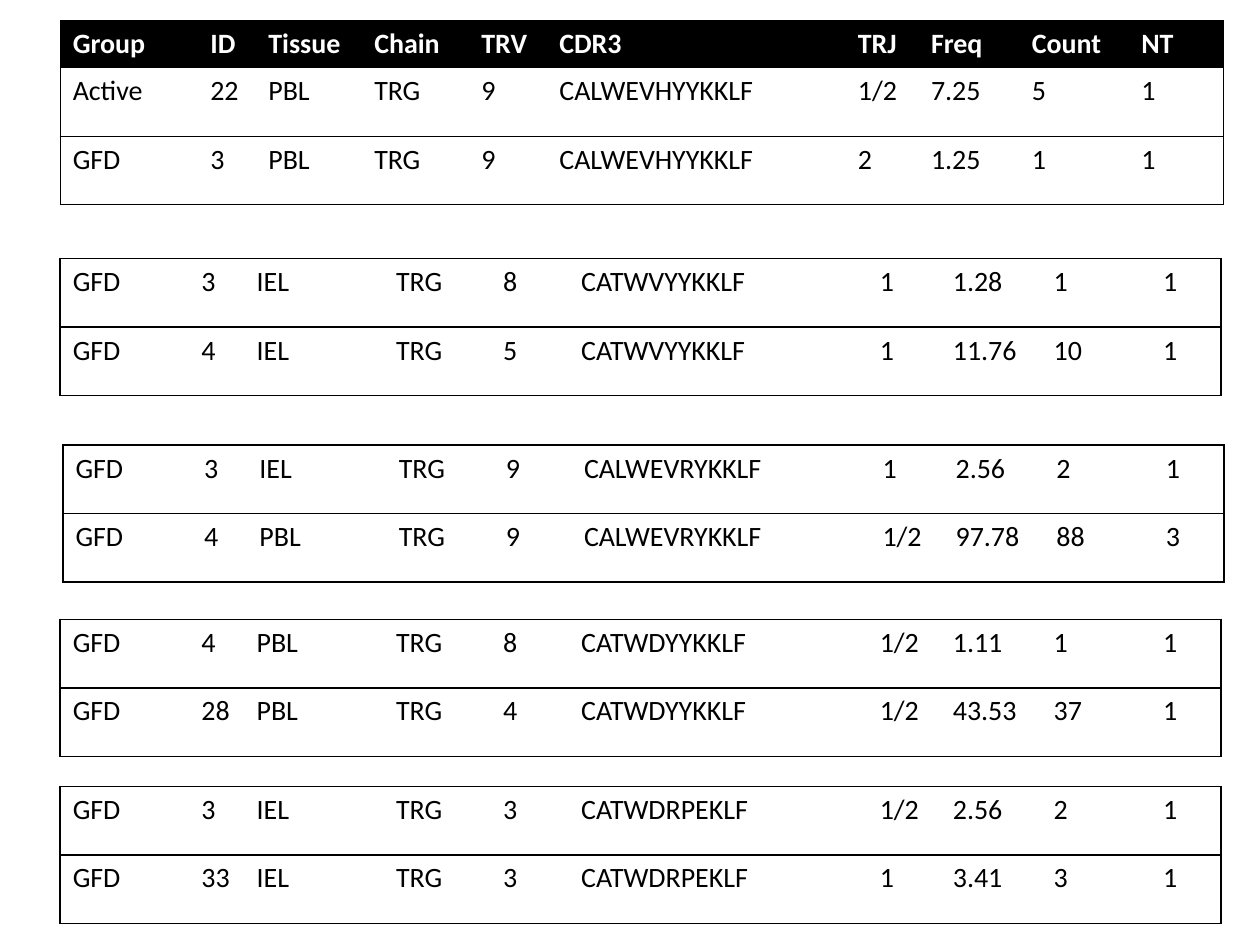
import pptx
import pptx.dml.color
import pptx.oxml.ns
import pptx.util
import lxml.etree

Pt = pptx.util.Pt
BLACK, WHITE = "000000", "FFFFFF"
HEADER_HEIGHT, ROW_HEIGHT = 26.2, 39.1

HEADINGS = ["Group", "ID", "Tissue", "Chain", "TRV", "CDR3", "TRJ", "Freq", "Count", "NT"]
SHARED_WIDTHS = [61.2, 44.6, 170.6, 41.8, 57.6, 62.6]  # Chain to Count
TOP_WIDTHS = [78.6, 33.2, 60.5, *SHARED_WIDTHS, 54]
PAIR_WIDTHS = [73.5, 31.6, 79.7, *SHARED_WIDTHS, 40.3]

# Each group: left, top, column widths, border weight, has header, rows
GROUPS = [
    (34.4, 12, TOP_WIDTHS, 0.75, True, [
        ["Active", "22", "PBL", "TRG", "9", "CALWEVHYYKKLF", "1/2", "7.25", "5", "1"],
        ["GFD", "3", "PBL", "TRG", "9", "CALWEVHYYKKLF", "2", "1.25", "1", "1"],
    ]),
    (34.4, 147.8, PAIR_WIDTHS, 1, False, [
        ["GFD", "3", "IEL", "TRG", "8", "CATWVYYKKLF", "1", "1.28", "1", "1"],
        ["GFD", "4", "IEL", "TRG", "5", "CATWVYYKKLF", "1", "11.76", "10", "1"],
    ]),
    (36, 254.3, PAIR_WIDTHS, 1, False, [
        ["GFD", "3", "IEL", "TRG", "9", "CALWEVRYKKLF", "1", "2.56", "2", "1"],
        ["GFD", "4", "PBL", "TRG", "9", "CALWEVRYKKLF", "1/2", "97.78", "88", "3"],
    ]),
    (34.4, 354, PAIR_WIDTHS, 1, False, [
        ["GFD", "4", "PBL", "TRG", "8", "CATWDYYKKLF", "1/2", "1.11", "1", "1"],
        ["GFD", "28", "PBL", "TRG", "4", "CATWDYYKKLF", "1/2", "43.53", "37", "1"],
    ]),
    (34.4, 449.4, PAIR_WIDTHS, 1, False, [
        ["GFD", "3", "IEL", "TRG", "3", "CATWDRPEKLF", "1/2", "2.56", "2", "1"],
        ["GFD", "33", "IEL", "TRG", "3", "CATWDRPEKLF", "1", "3.41", "3", "1"],
    ]),
]


def color(value):
    return pptx.dml.color.RGBColor.from_string(value)


def write_text(cell, text, size=16, font="Calibri", ink=BLACK, bold=False):
    span = cell.text_frame.paragraphs[0].add_run()
    span.text = text
    span.font.name = font
    span.font.size = Pt(size)
    span.font.bold = bold
    span.font.color.rgb = color(ink)


def set_borders(cell, weight, sides):
    """Rule the given sides (letters out of LRTB) and clear the others."""
    qn = pptx.oxml.ns.qn
    properties = cell._tc.get_or_add_tcPr()
    for side in "LRTB":
        line = lxml.etree.SubElement(properties, qn(f"a:ln{side}"), w=str(Pt(weight)))
        if side in sides:
            fill = lxml.etree.SubElement(line, qn("a:solidFill"))
            lxml.etree.SubElement(fill, qn("a:srgbClr"), val=BLACK)
        else:
            lxml.etree.SubElement(line, qn("a:noFill"))


def add_group_table(page, left, top, widths, weight, has_header, rows):
    records = [HEADINGS, *rows] if has_header else rows
    heights = [HEADER_HEIGHT] * has_header + [ROW_HEIGHT] * len(rows)
    table = page.shapes.add_table(
        len(records), len(widths), Pt(left), Pt(top), Pt(sum(widths)), Pt(sum(heights))
    ).table
    table.first_row = has_header
    table.horz_banding = False

    for column, width in zip(table.columns, widths):
        column.width = Pt(width)
    for row, height in zip(table.rows, heights):
        row.height = Pt(height)

    # Horizontal rules everywhere, vertical rules on the outer edges only
    for row_index, record in enumerate(records):
        is_header = has_header and row_index == 0
        for column_index, text in enumerate(record):
            cell = table.cell(row_index, column_index)
            sides = "TB"
            if column_index == 0:
                sides += "L"
            if column_index == len(widths) - 1:
                sides += "R"
            set_borders(cell, weight, sides)
            if is_header:
                cell.fill.solid()
                cell.fill.fore_color.rgb = color(BLACK)
            else:
                cell.fill.background()
            write_text(cell, text, ink=WHITE if is_header else BLACK, bold=is_header)


def main():
    deck = pptx.Presentation()
    deck.slide_width, deck.slide_height = Pt(720), Pt(540)
    page = deck.slides.add_slide(deck.slide_layouts[6])
    for group in GROUPS:
        add_group_table(page, *group)
    deck.save("out.pptx")


if __name__ == "__main__":
    main()
